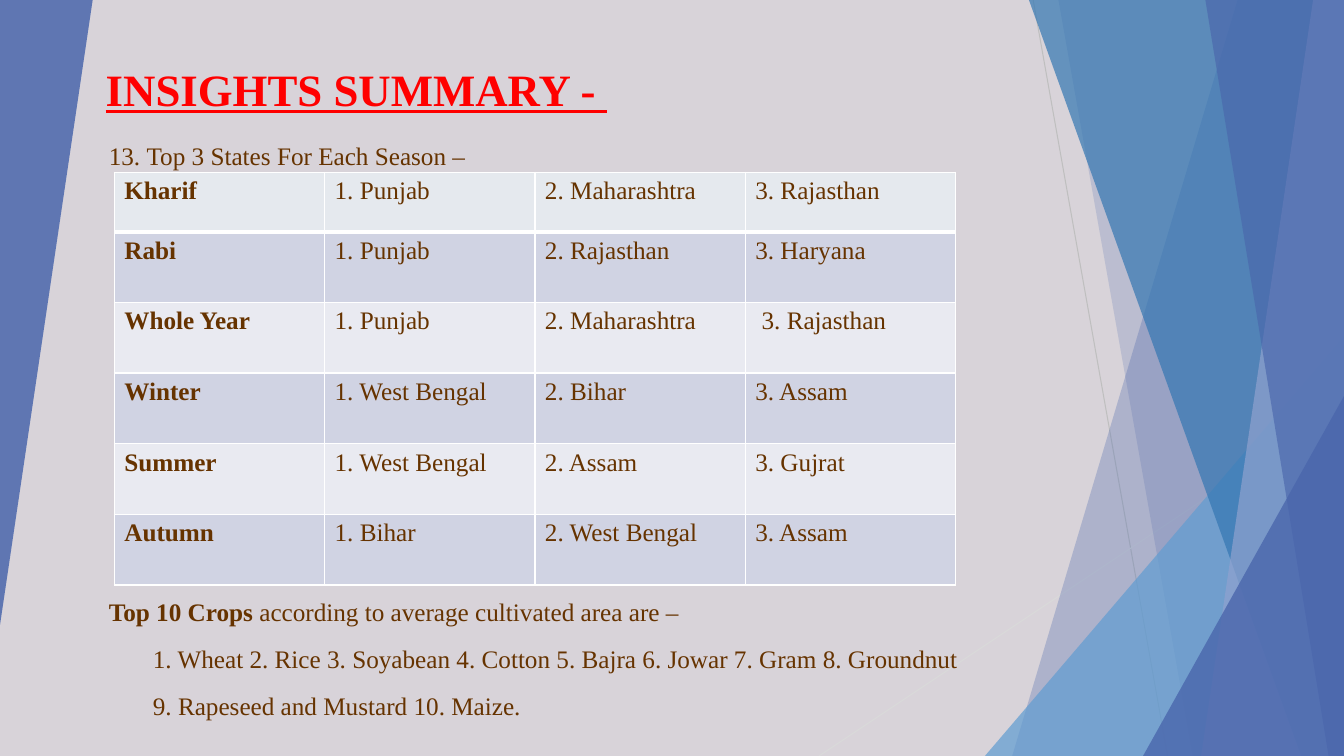
"""Build the insights summary slide with its season table and crop list."""
from dataclasses import dataclass

from lxml import etree
from pptx import Presentation
from pptx.dml.color import RGBColor
from pptx.enum.shapes import MSO_CONNECTOR, MSO_SHAPE
from pptx.oxml.ns import qn
from pptx.util import Pt

STRAIGHT = MSO_CONNECTOR.STRAIGHT
TRIANGLE = MSO_SHAPE.ISOSCELES_TRIANGLE
WIDTH, HEIGHT = 960, 540


@dataclass(frozen=True)
class Theme:
    font: str = "Times New Roman"
    title: int = 32
    body: int = 18
    back: str = "D8D3D9"
    red: str = "FF0000"
    brown: str = "663300"
    white: str = "FFFFFF"
    navy: str = "4A66AC"
    sky: str = "629DD1"
    teal: str = "3477B2"
    lilac: str = "90A2CF"
    head: str = "E5E9EE"
    dark: str = "D0D3E3"
    light: str = "E9EAF1"


THEME = Theme()


@dataclass(frozen=True)
class Ray:
    start: tuple[float, float]
    end: tuple[float, float]
    color: str


@dataclass(frozen=True)
class Facet:
    top: float
    base: float
    color: str
    alpha: int


@dataclass(frozen=True)
class Wedge:
    left: float
    top: float
    width: float
    height: float
    color: str
    alpha: int
    turn: int = 0


RAYS = [
    Ray((738, 0), (834, HEIGHT), "BFBFBF"),
    Ray((WIDTH, 290), (585, HEIGHT), "D9D9D9"),
]
PANES = [
    Facet(884, 723, THEME.navy, 30),
    Facet(756, 852, THEME.navy, 20),
    Wedge(703.5, 240, 256.5, 300, THEME.sky, 72),
    Facet(735, 929.5, THEME.teal, 70),
    Facet(938, 858, THEME.lilac, 70),
    Facet(861, 949, THEME.navy, 65),
    Wedge(816.5, 283, 143.5, 257, THEME.navy, 80),
    Wedge(0, 0, 66.2, 446.4, THEME.navy, 85, 180),
]
SEASONS = {
    "Kharif": ["1. Punjab", "2. Maharashtra", "3. Rajasthan"],
    "Rabi": ["1. Punjab", "2. Rajasthan", "3. Haryana"],
    "Whole Year": ["1. Punjab", "2. Maharashtra", " 3. Rajasthan"],
    "Winter": ["1. West Bengal", "2. Bihar", "3. Assam"],
    "Summer": ["1. West Bengal", "2. Assam", "3. Gujrat"],
    "Autumn": ["1. Bihar", "2. West Bengal", "3. Assam"],
}
CROPS = ["1. Wheat", "2. Rice", "3. Soyabean", "4. Cotton",
         "5. Bajra", "6. Jowar", "7. Gram", "8. Groundnut"]


def write(para, text: str, *, size: int = THEME.body, color: str = THEME.brown,
          bold: bool = False, line: bool = False) -> None:
    """Add a formatted run to a paragraph."""
    run = para.add_run()
    run.text = text
    font = run.font
    font.name, font.size = THEME.font, Pt(size)
    font.bold, font.underline = bold, line
    font.color.rgb = RGBColor.from_string(color)


def draw_ray(slide, ray: Ray) -> None:
    """Draw a thin line without a shadow."""
    line = slide.shapes.add_connector(
        STRAIGHT, *(Pt(v) for v in ray.start + ray.end))
    line.line.width = Pt(0.75)
    line.line.color.rgb = RGBColor.from_string(ray.color)
    props = line._element.find(qn("p:spPr"))
    etree.SubElement(props, qn("a:effectLst"))


def draw_pane(slide, pane: Facet | Wedge) -> None:
    """Draw a see-through facet or wedge."""
    if isinstance(pane, Facet):
        edge = [(WIDTH, 0), (WIDTH, HEIGHT), (pane.base, HEIGHT)]
        form = slide.shapes.build_freeform(Pt(pane.top), 0)
        form.add_line_segments([(Pt(x), Pt(y)) for x, y in edge])
        shape = form.convert_to_shape()
    else:
        shape = slide.shapes.add_shape(
            TRIANGLE, Pt(pane.left), Pt(pane.top), Pt(pane.width), Pt(pane.height))
        shape.adjustments[0] = 1
        shape.rotation = pane.turn
    shape.shadow.inherit = False
    shape.fill.solid()
    shape.fill.fore_color.rgb = RGBColor.from_string(pane.color)
    tint = next(shape._element.iter(qn("a:srgbClr")))
    etree.SubElement(tint, qn("a:alpha"), val=str(pane.alpha * 1000))
    shape.line.fill.background()


def add_box(slide, left: float, top: float, width: float, height: float):
    """Add a wrapping text box and return its frame."""
    box = slide.shapes.add_textbox(Pt(left), Pt(top), Pt(width), Pt(height))
    box.text_frame.word_wrap = True
    return box.text_frame


def add_body(slide) -> None:
    """Add the numbered heading above the table and the crops below it."""
    frame = add_box(slide, 70.6, 86, 677, 430)
    first = frame.paragraphs[0]
    lead, main, rest = (frame.add_paragraph() for _ in range(3))
    for para, gap in ((first, 0), (lead, 293), (main, 1.4), (rest, 1.4)):
        para.line_spacing = 1.5
        para.space_before = Pt(gap)
    write(first, "Top 3 States For Each Season –")
    props = first._p.get_or_add_pPr()
    props.set("marL", str(Pt(27)))
    props.set("indent", str(-Pt(27)))
    etree.SubElement(props, qn("a:buFont"), typeface="+mj-lt")
    etree.SubElement(props, qn("a:buAutoNum"), type="arabicPeriod", startAt="13")
    write(lead, "Top 10 Crops ", bold=True)
    write(lead, "according to average cultivated area are –")
    for para in (main, rest):
        para._p.get_or_add_pPr().set("marL", str(Pt(31.5)))
    write(main, " ".join(CROPS))
    write(rest, "9. Rapeseed and Mustard 10. Maize.")


def edge_cell(cell, base: int) -> None:
    """Give a cell white borders, with its lower one in the given width."""
    props = cell._tc.get_or_add_tcPr()
    for spot, (side, width) in enumerate(
            (("L", 1), ("R", 1), ("T", 1), ("B", base))):
        line = etree.Element(qn(f"a:ln{side}"), w=str(Pt(width)))
        fill = etree.SubElement(line, qn("a:solidFill"))
        etree.SubElement(fill, qn("a:srgbClr"), val=THEME.white)
        props.insert(spot, line)


def add_grid(slide) -> None:
    """Add the table of top states by season."""
    frame = slide.shapes.add_table(
        len(SEASONS), 4, Pt(81.6), Pt(123), Pt(601), Pt(295))
    grid = frame.table
    grid.first_row = grid.horz_banding = False
    for col in grid.columns:
        col.width = Pt(150.25)
    for r, (season, states) in enumerate(SEASONS.items()):
        grid.rows[r].height = Pt(50.5 if r else 42.5)
        shade = THEME.dark if r % 2 else THEME.light if r else THEME.head
        for c, text in enumerate([season, *states]):
            cell = grid.cell(r, c)
            cell.fill.solid()
            cell.fill.fore_color.rgb = RGBColor.from_string(shade)
            edge_cell(cell, 1 if r else 3)
            write(cell.text_frame.paragraphs[0], text, bold=c == 0)


def main() -> None:
    """Build and save the slide."""
    deck = Presentation()
    deck.slide_width, deck.slide_height = Pt(WIDTH), Pt(HEIGHT)
    slide = deck.slides.add_slide(deck.slide_layouts[6])
    slide.background.fill.solid()
    slide.background.fill.fore_color.rgb = RGBColor.from_string(THEME.back)
    for ray in RAYS:
        draw_ray(slide, ray)
    for pane in PANES:
        draw_pane(slide, pane)
    title = add_box(slide, 68.4, 40.5, 627, 46)
    write(title.paragraphs[0], "INSIGHTS SUMMARY - ",
          size=THEME.title, color=THEME.red, bold=True, line=True)
    add_body(slide)
    add_grid(slide)
    deck.save("out.pptx")


if __name__ == "__main__":
    main()
